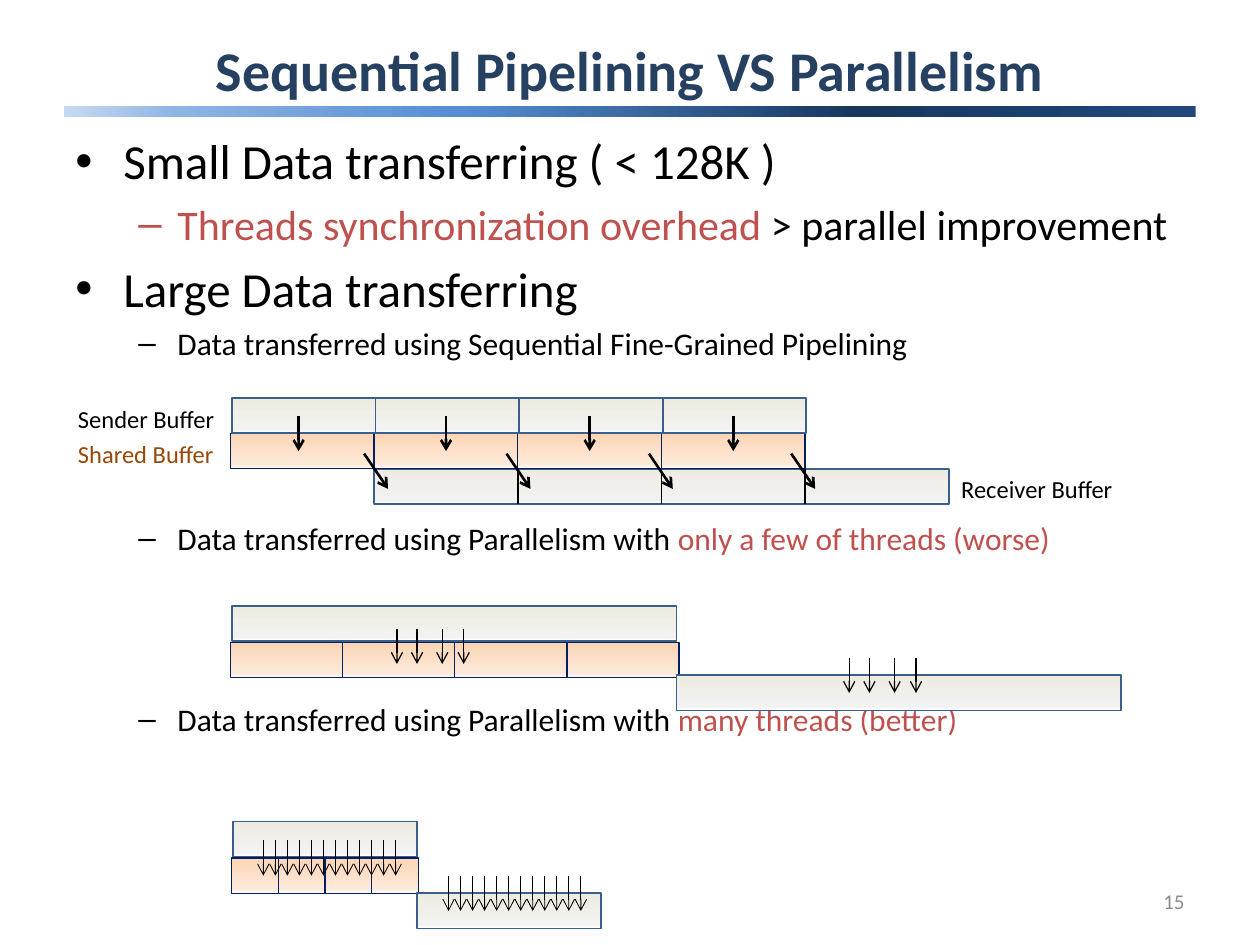
from typing import NamedTuple

from pptx import Presentation
from pptx import util as u
from pptx.dml.color import RGBColor
from pptx.enum import shapes, text
from pptx.oxml import parse_xml
from pptx.oxml.ns import qn

NS = 'xmlns:a="http://schemas.openxmlformats.org/drawingml/2006/main"'
FONT = "Calibri"
HEX = {
    "title": "254061", "black": "000000", "red": "C0504D", "brown": "984807",
    "grey": "8C8C8C", "blue": "3A5F8C", "navy": "002060",
}
GRADS = {
    "band": (180, [(0, "1F497D"), (30, "17375E"), (65, "558ED5"),
                   (90, "8EB4E3"), (100, "C6D9F1")]),
    "buffer": (90, [(0, "EEECE1"), (88, "F2F2F2"), (100, "FFFFFF")]),
    "shared": (90, [(0, "FCD5B5"), (88, "FDEADA"), (100, "FFFFFF")]),
}
ROW = 0.28  # height of a buffer row and of an arrow


class Bar(NamedTuple):
    x: float
    y: float
    w: float
    grad: str = "buffer"
    edge: str = "blue"
    pt: float = 1


class Fan(NamedTuple):
    """Arrows that start at each x, all at one height."""
    xs: list
    y: float
    pt: float
    dx: float = 0


class Label(NamedTuple):
    words: str
    x: float
    y: float
    w: float = 1.75
    h: float = 0.34
    size: float = 14
    color: str = "black"
    align: text.PP_ALIGN = text.PP_ALIGN.LEFT


class Item(NamedTuple):
    level: int
    size: float
    gap: float
    runs: list


def rgb(name: str) -> RGBColor:
    return RGBColor.from_string(HEX[name])


def style(run, size: float, color: str) -> None:
    run.font.name = FONT
    run.font.size = u.Pt(size)
    run.font.color.rgb = rgb(color)


def box(slide, x: float, y: float, w: float, h: float):
    frame = slide.shapes.add_textbox(*map(u.Inches, (x, y, w, h))).text_frame
    frame.word_wrap = True
    return frame


def rect(slide, x: float, y: float, w: float, h: float, grad: str):
    shape = slide.shapes.add_shape(
        shapes.MSO_SHAPE.RECTANGLE, *map(u.Inches, (x, y, w, h)))
    shape.shadow.inherit = False
    angle, stops = GRADS[grad]
    marks = "".join(f'<a:gs pos="{pos * 1000}"><a:srgbClr val="{val}"/></a:gs>'
                    for pos, val in stops)
    fill = parse_xml(f'<a:gradFill {NS} rotWithShape="1"><a:gsLst>{marks}</a:gsLst>'
                     f'<a:lin ang="{angle * 60000}" scaled="0"/></a:gradFill>')
    shape._element.spPr.find(qn("a:prstGeom")).addnext(fill)
    return shape


def draw_bar(slide, bar: Bar) -> None:
    shape = rect(slide, bar.x, bar.y, bar.w, ROW, bar.grad)
    shape.line.color.rgb = rgb(bar.edge)
    shape.line.width = u.Pt(bar.pt)


def draw_cells(slide, x: float, y: float, w: float) -> None:
    for i in range(4):
        draw_bar(slide, Bar(x + i * w, y, w, "shared", "navy", 0.75))


def draw_line(slide, x: float, y: float, dx: float = 0, pt: float = 1,
              color: str = "black", head: bool = False) -> None:
    line = slide.shapes.add_connector(
        shapes.MSO_CONNECTOR.STRAIGHT,
        *map(u.Inches, (x, y, x + dx, y + ROW)))
    line.line.color.rgb = rgb(color)
    line.line.width = u.Pt(pt)
    if head:
        line.line._get_or_add_ln().append(
            parse_xml(f'<a:tailEnd {NS} type="arrow"/>'))
    line._element.spPr.append(parse_xml(f"<a:effectLst {NS}/>"))


def draw_fan(slide, fan: Fan) -> None:
    for x in fan.xs:
        draw_line(slide, x, fan.y, fan.dx, fan.pt, head=True)


def draw_label(slide, label: Label) -> None:
    frame = box(slide, label.x, label.y, label.w, label.h)
    frame.vertical_anchor = text.MSO_ANCHOR.MIDDLE
    frame.text = label.words
    para = frame.paragraphs[0]
    para.alignment = label.align
    style(para.runs[0], label.size, label.color)


def draw_list(slide, items: list) -> None:
    frame = box(slide, 0.5, 0.99, 9.22, 6.22)
    for i, item in enumerate(items):
        para = frame.add_paragraph() if i else frame.paragraphs[0]
        para.level = item.level
        left, hang, mark = ((0.38, 0.38, "•"), (0.81, 0.31, "–"))[item.level]
        props = para._p.get_or_add_pPr()
        props.set("marL", str(u.Inches(left)))
        props.set("indent", str(-u.Inches(hang)))
        props.append(parse_xml(f'<a:buFont {NS} typeface="Arial"/>'))
        props.append(parse_xml(f'<a:buChar {NS} char="{mark}"/>'))
        para.space_before = u.Pt(item.gap)
        for words, color in item.runs:
            run = para.add_run()
            run.text = words
            style(run, item.size, color)


def main() -> None:
    deck = Presentation()
    deck.slide_width, deck.slide_height = u.Inches(10), u.Inches(7.5)
    slide = deck.slides.add_slide(deck.slide_layouts[5])

    # Title and band
    rect(slide, 0.51, 0.84, 8.98, 0.09, "band").line.fill.background()
    title = slide.shapes.title
    title.left, title.top, title.width, title.height = map(
        u.Inches, (0.5, 0.26, 9, 0.58))
    frame = title.text_frame
    frame.text = "Sequential Pipelining VS Parallelism"
    frame.auto_size = text.MSO_AUTO_SIZE.NONE
    frame.vertical_anchor = text.MSO_ANCHOR.MIDDLE
    frame.paragraphs[0].alignment = text.PP_ALIGN.CENTER
    style(frame.paragraphs[0].runs[0], 32, "title")
    frame.paragraphs[0].runs[0].font.bold = True

    # Bullets, with gaps that leave room for the diagrams
    lead = ("Data transferred using Parallelism with ", "black")
    draw_list(slide, [
        Item(0, 28, 0, [("Small Data transferring ( < 128K )", "black")]),
        Item(1, 24, 4.8, [("Threads synchronization overhead ", "red"),
                          ("> parallel improvement", "black")]),
        Item(0, 28, 5.6, [("Large Data transferring", "black")]),
        Item(1, 18, 3.6, [("Data transferred using Sequential "
                           "Fine-Grained Pipelining", "black")]),
        Item(1, 18, 90, [lead, ("only a few of threads (worse)", "red")]),
        Item(1, 18, 82, [lead, ("many threads (better)", "red")]),
    ])

    # Sequential pipelining
    step = 1.14
    draw_bar(slide, Bar(2.97, 3.72, 4 * step))
    for i in range(1, 4):
        draw_line(slide, 2.97 + i * step, 3.72)
    draw_cells(slide, 1.83, 3.44, step)
    draw_bar(slide, Bar(1.84, 3.16, 4 * step))
    for i in range(1, 4):
        draw_line(slide, 1.84 + i * step, 3.16, color="blue")
    draw_fan(slide, Fan([2.37, 3.54, 4.68, 5.82], 3.3, 1.5))
    draw_fan(slide, Fan([2.89 + i * 1.13 for i in range(4)], 3.6, 1.5, 0.19))

    # A few threads
    draw_cells(slide, 1.83, 5.1, 0.89)
    draw_bar(slide, Bar(1.84, 4.81, 3.53))
    draw_bar(slide, Bar(5.37, 5.36, 3.53))
    for x, y in ((3.15, 4.99), (6.74, 5.22)):
        draw_fan(slide, Fan([x + dx for dx in (0, 0.16, 0.36, 0.53)], y, 0.75))

    # Many threads
    draw_bar(slide, Bar(1.85, 6.52, 1.46))
    draw_cells(slide, 1.84, 6.81, 0.37)
    draw_bar(slide, Bar(3.31, 7.09, 1.46))
    for x, y in ((2.09, 6.67), (3.56, 6.95)):
        draw_fan(slide, Fan([x + i * 1.05 / 11 for i in range(12)], y, 0.5))

    # Labels and page number
    for label in (
        Label("Sender Buffer", 0.52, 3.15),
        Label("Shared Buffer", 0.52, 3.43, color="brown"),
        Label("Receiver Buffer", 7.53, 3.71),
        Label("15", 7.17, 6.95, 2.33, 0.4, 12, "grey", text.PP_ALIGN.RIGHT),
    ):
        draw_label(slide, label)

    deck.save("out.pptx")


if __name__ == "__main__":
    main()
